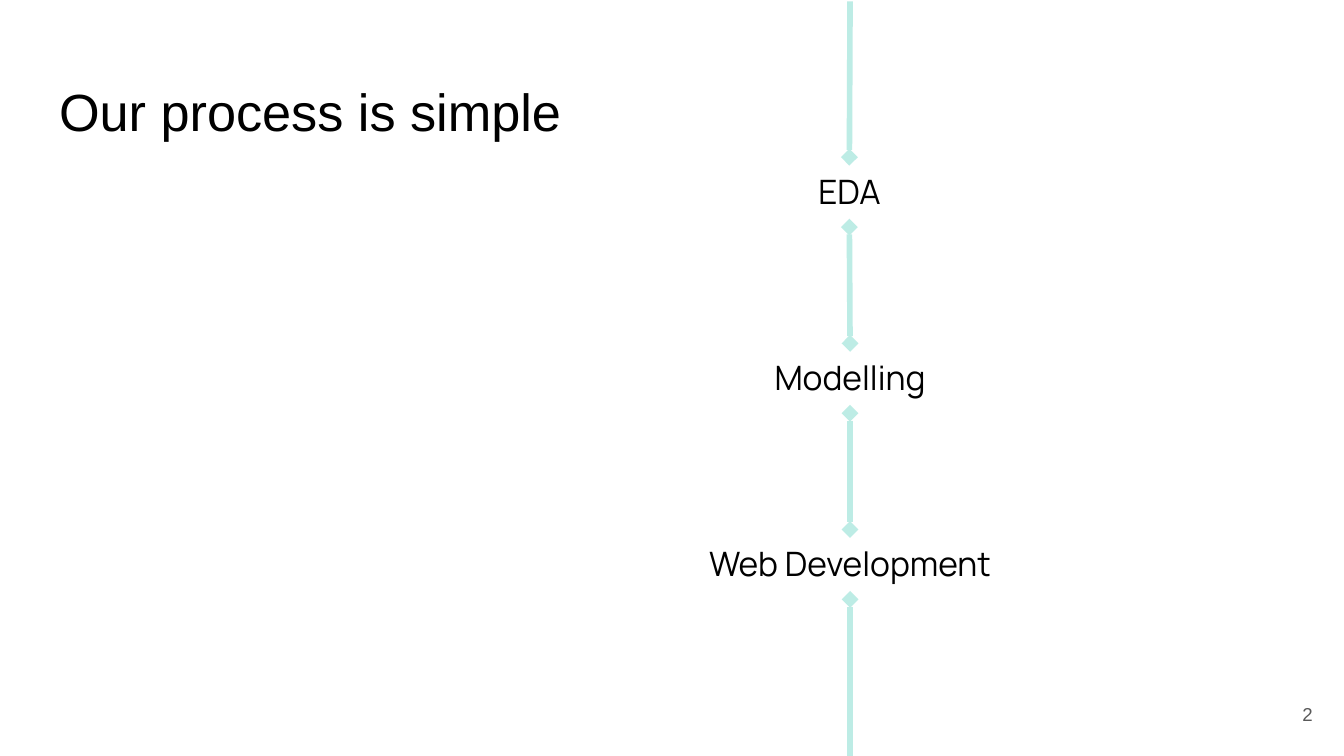
"""Build a slide that shows a three-step process on a vertical line."""
from lxml import etree
from pptx import Presentation
from pptx import util as u
from pptx.dml.color import RGBColor
from pptx.enum import shapes, text
from pptx.oxml import ns

PX = u.Inches(1) // 200
SLIDE_WIDTH, SLIDE_HEIGHT = 2000, 1125
MINT = RGBColor(0xBD, 0xEC, 0xE5)
BLACK = RGBColor(0x00, 0x00, 0x00)
GREY = RGBColor(0x59, 0x59, 0x59)
STEPS = [("EDA", 1016), ("Modelling", 1017), ("Web Development", 1017)]
STEP_TOP, STEP_PITCH = 234, 277
STEP_WIDTH, STEP_HEIGHT = 496, 104
LINE_X = 1265
TOP_SIDE, BOTTOM_SIDE = 0, 2


def px(*lengths):
    return [u.Emu(length * PX) for length in lengths]


def write(holder, wording, size, font="Arial", color=BLACK,
          align=text.PP_ALIGN.LEFT, anchor=text.MSO_ANCHOR.TOP):
    frame = holder.text_frame
    frame.word_wrap = True
    frame.auto_size = text.MSO_AUTO_SIZE.NONE
    frame.vertical_anchor = anchor
    frame.margin_left = frame.margin_right = px(20)[0]
    frame.margin_top = frame.margin_bottom = px(20)[0]
    paragraph = frame.paragraphs[0]
    paragraph.alignment = align
    run = paragraph.add_run()
    run.text = wording
    run.font.size = u.Pt(size)
    run.font.name = font
    run.font.color.rgb = color


def add_title(slide, wording):
    title = slide.shapes.title
    title.left, title.top, title.width, title.height = px(68, 98, 1864, 126)
    write(title, wording, 28)


def add_step(slide, index, wording, left):
    top = STEP_TOP + STEP_PITCH * index
    step = slide.shapes.add_textbox(*px(left, top, STEP_WIDTH, STEP_HEIGHT))
    write(step, wording, 18, font="Manrope", align=text.PP_ALIGN.CENTER)
    return step


def add_link(slide, upper, lower):
    link = slide.shapes.add_connector(
        shapes.MSO_CONNECTOR.STRAIGHT, *px(LINE_X, 2, LINE_X, SLIDE_HEIGHT))
    link.line.color.rgb = MINT
    link.line.width = u.Pt(3)
    properties = link._element.spPr
    outline = properties.find(ns.qn("a:ln"))
    if upper is not None:
        link.begin_connect(upper, BOTTOM_SIDE)
        etree.SubElement(outline, ns.qn("a:headEnd"), type="diamond")
    if lower is not None:
        link.end_connect(lower, TOP_SIDE)
        etree.SubElement(outline, ns.qn("a:tailEnd"), type="diamond")
    etree.SubElement(properties, ns.qn("a:effectLst"))


def add_page_number(slide, number):
    page = slide.shapes.add_textbox(*px(1853, 1020, 120, 86))
    write(page, number, 10, color=GREY, align=text.PP_ALIGN.RIGHT,
          anchor=text.MSO_ANCHOR.MIDDLE)


def main():
    deck = Presentation()
    deck.slide_width, deck.slide_height = px(SLIDE_WIDTH, SLIDE_HEIGHT)
    slide = deck.slides.add_slide(deck.slide_layouts.get_by_name("Title Only"))
    add_title(slide, "Our process is simple")
    steps = [add_step(slide, index, wording, left)
             for index, (wording, left) in enumerate(STEPS)]
    for upper, lower in zip([None, *steps], [*steps, None]):
        add_link(slide, upper, lower)
    add_page_number(slide, "2")
    deck.save("out.pptx")


if __name__ == "__main__":
    main()
